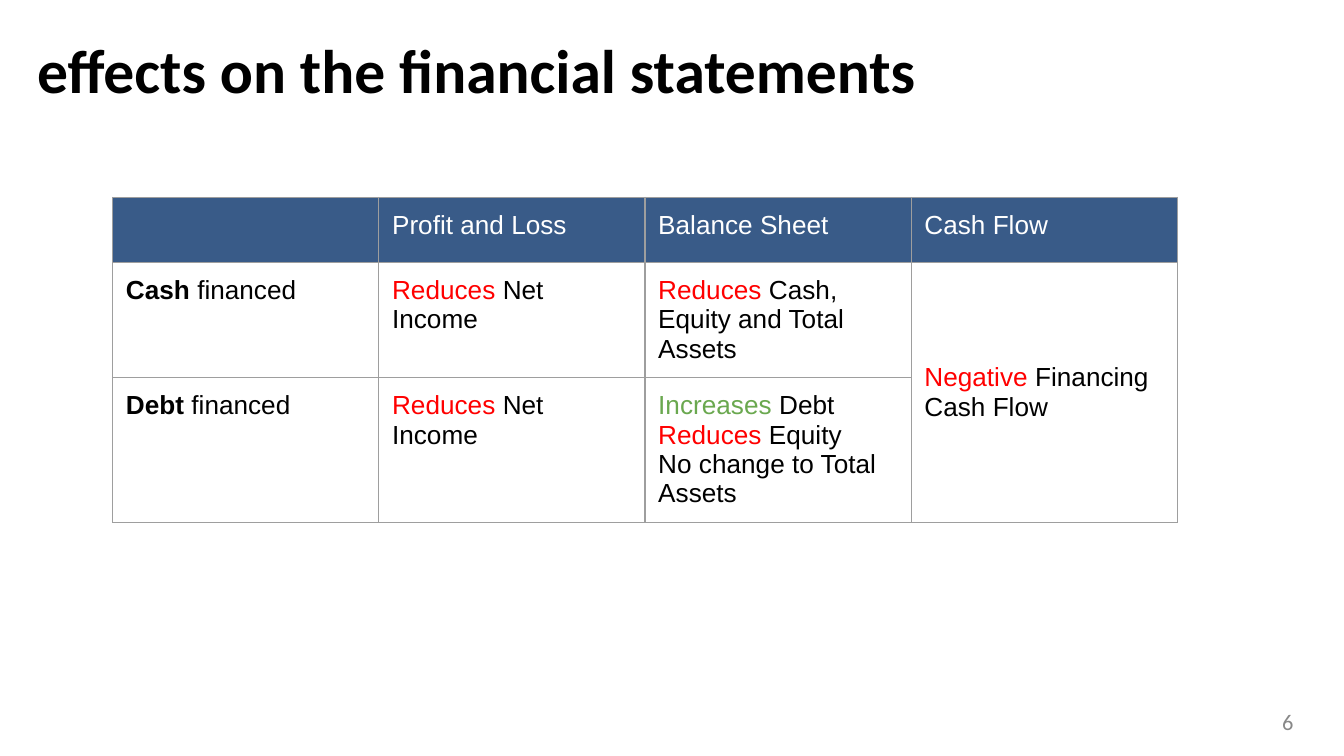
from lxml.etree import SubElement
from pptx import Presentation
from pptx.dml.color import RGBColor
from pptx.enum.text import MSO_ANCHOR as Anchor, MSO_AUTO_SIZE as AutoSize, PP_ALIGN as Align
from pptx.oxml.ns import qn
from pptx.util import Cm, Pt

COLORS = {
    "header": "173F74",
    "border": "9E9E9E",
    "white": "FFFFFF",
    "text": "000000",
    "bad": "FF0000",
    "good": "6AA84F",
    "number": "888888",
}


def add_run(paragraph, text, *, size=14, font="Arial", color="text", bold=False):
    run = paragraph.add_run()
    run.text = text
    run.font.size = Pt(size)
    run.font.name = font
    run.font.bold = bold
    run.font.color.rgb = RGBColor.from_string(COLORS[color])


def add_borders(cell_properties):
    for side in ("a:lnL", "a:lnR", "a:lnT", "a:lnB"):
        line = SubElement(cell_properties, qn(side), w=str(Pt(0.75)))
        fill = SubElement(line, qn("a:solidFill"))
        SubElement(fill, qn("a:srgbClr"), val=COLORS["border"])


presentation = Presentation()
presentation.slide_width = Cm(25.4)
presentation.slide_height = Cm(14.29)
slide = presentation.slides.add_slide(presentation.slide_layouts[5])

# Title
title = slide.shapes.title
title.left, title.top, title.width, title.height = Cm(0.51), Cm(0.53), Cm(19.91), Cm(1.73)
heading = title.text_frame
heading.auto_size = AutoSize.NONE
heading.word_wrap = True
heading.vertical_anchor = Anchor.MIDDLE
heading.margin_left = heading.margin_right = Cm(0.19)
heading.margin_top = heading.margin_bottom = Cm(0.1)
heading.paragraphs[0].alignment = Align.LEFT
heading.paragraphs[0].line_spacing = 0.91
add_run(heading.paragraphs[0], "effects on the financial statements",
        size=33, font="Calibri", bold=True)

# Effects table: each cell is a list of paragraphs, each paragraph a list of runs
BOLD, WHITE = {"bold": True}, {"color": "white"}
BAD, GOOD = {"color": "bad"}, {"color": "good"}
net_income = [[("Reduces", BAD), (" Net Income", {})]]
effects = [
    [[[(label, WHITE)]] for label in ("", "Profit and Loss", "Balance Sheet", "Cash Flow")],
    [
        [[("Cash", BOLD), (" financed", {})]],
        net_income,
        [[("Reduces", BAD), (" Cash, Equity and Total Assets", {})]],
        [[("Negative", BAD), (" Financing Cash Flow", {})]],
    ],
    [
        [[("Debt", BOLD), (" financed", {})]],
        net_income,
        [
            [("Increases", GOOD), (" Debt", {})],
            [("Reduces", BAD), (" Equity", {})],
            [("No change to Total Assets", {})],
        ],
        [],
    ],
]
row_heights = [1.23, 2.18, 2.73]
column_width = 5.03
table = slide.shapes.add_table(3, 4, Cm(2.13), Cm(3.73),
                               Cm(4 * column_width), Cm(sum(row_heights))).table
table.first_row = table.horz_banding = False
for column in table.columns:
    column.width = Cm(column_width)
for row, height in zip(table.rows, row_heights):
    row.height = Cm(height)
table.cell(1, 3).merge(table.cell(2, 3))

for row_index, row_content in enumerate(effects):
    for column_index, content in enumerate(row_content):
        cell = table.cell(row_index, column_index)
        cell.margin_left = cell.margin_right = Cm(0.25)
        cell.margin_top = cell.margin_bottom = Cm(0.25)
        cell.vertical_anchor = Anchor.MIDDLE if cell.is_merge_origin else Anchor.TOP
        properties = cell._tc.get_or_add_tcPr()
        add_borders(properties)
        if row_index == 0:
            cell.fill.solid()
            cell.fill.fore_color.rgb = RGBColor.from_string(COLORS["header"])
            header_color = properties.find(qn("a:solidFill"))[0]
            SubElement(header_color, qn("a:alpha"), val="85000")
        else:
            cell.fill.background()
        for index, runs in enumerate(content):
            frame = cell.text_frame
            paragraph = frame.add_paragraph() if index else frame.paragraphs[0]
            for text, style in runs:
                add_run(paragraph, text, **style)

# Slide number
page_number = slide.shapes.add_textbox(Cm(23.98), Cm(13.26), Cm(0.99), Cm(0.76)).text_frame
page_number.word_wrap = True
page_number.vertical_anchor = Anchor.MIDDLE
add_run(page_number.paragraphs[0], "6", size=12, font="Calibri", color="number")

presentation.save("out.pptx")
